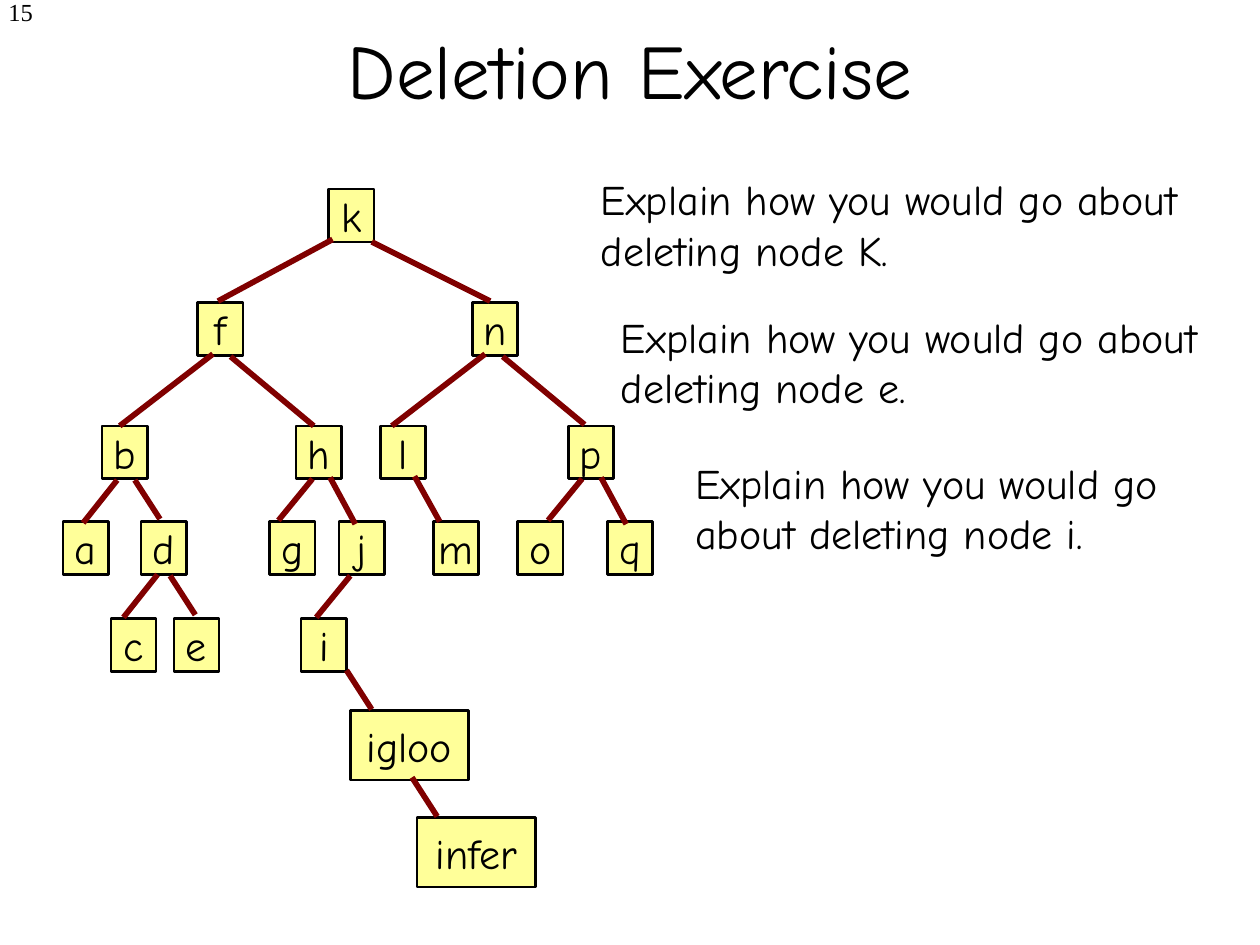
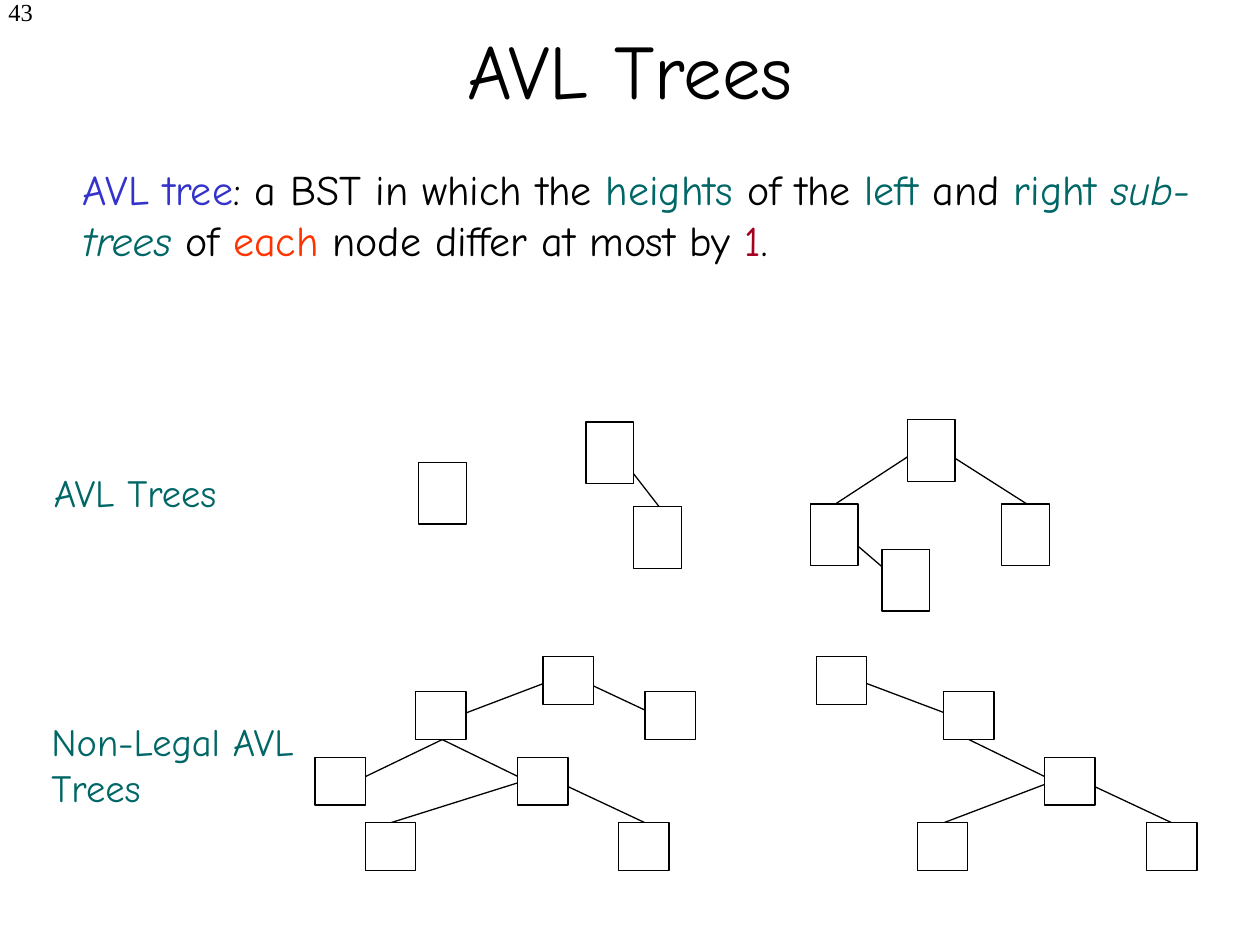
import pptx
import pptx.dml.color
import pptx.enum.shapes
import pptx.enum.text
import pptx.oxml
import pptx.util
from pptx.util import Inches

ALIGN = pptx.enum.text.PP_ALIGN
ANCHOR = pptx.enum.text.MSO_ANCHOR
FIT = pptx.enum.text.MSO_AUTO_SIZE

BLACK, WHITE, YELLOW, MAROON = "000000", "FFFFFF", "FFFF99", "800000"
TEAL, BLUE, ORANGE, CRIMSON = "006666", "3333CC", "FF3300", "A50021"

TITLE_FONT = {"name": "Comic Neue", "size": pptx.util.Pt(44)}
BODY_FONT = {"name": "Comic Neue", "size": pptx.util.Pt(24)}
LABEL_FONT = {"name": "Comic Neue", "size": pptx.util.Pt(22)}
NUMBER_FONT = {"name": "Times New Roman", "size": pptx.util.Pt(14)}

TITLE_FRAME = {"word_wrap": True, "vertical_anchor": ANCHOR.MIDDLE}
NUMBER_FRAME = {"word_wrap": True, "margin_left": 0}
NODE_FRAME = {"word_wrap": False, "vertical_anchor": ANCHOR.MIDDLE}
BODY_FRAME = {"word_wrap": True, "auto_size": FIT.SHAPE_TO_FIT_TEXT}

LETTER_SIZE = (0.36, 0.42)
WORD_SIZE = (0.94, 0.55)
LETTER_ROWS = [
    (1.5, {"k": 2.61}),
    (2.4, {"f": 1.57, "n": 3.75}),
    (3.38, {"b": 0.81, "h": 2.35, "l": 3.02, "p": 4.51}),
    (4.14, {"a": 0.5, "d": 1.12, "g": 2.14, "j": 2.69, "m": 3.44, "o": 4.11, "q": 4.82}),
    (4.91, {"c": 0.88, "e": 1.38, "i": 2.39}),
]
WORD_ROWS = [(5.64, {"igloo": 2.78}), (6.49, {"infer": 3.31})]
BRANCHES = [
    (2.64, 1.9, 1.73, 2.39), (2.95, 1.92, 3.89, 2.39),
    (1.69, 2.81, 0.95, 3.38), (1.83, 2.83, 2.49, 3.38),
    (3.85, 2.81, 3.11, 3.38), (3.99, 2.83, 4.64, 3.37),
    (0.93, 3.81, 0.66, 4.15), (1.07, 3.81, 1.27, 4.12),
    (2.48, 3.8, 2.21, 4.13), (2.62, 3.79, 2.82, 4.16),
    (3.29, 3.78, 3.49, 4.14),
    (4.62, 3.8, 4.35, 4.13), (4.77, 3.79, 4.97, 4.16),
    (1.25, 4.56, 0.98, 4.9), (1.35, 4.57, 1.55, 4.88),
    (2.78, 4.57, 2.51, 4.9),
    (2.75, 5.32, 2.95, 5.63), (3.27, 6.17, 3.47, 6.48),
]
QUESTIONS = [("K", 4.67, 1.33, 5.33), ("e", 4.83, 2.42, 5.17), ("i", 5.42, 3.58, 4.25)]

LEGAL_SIZE = (0.38, 0.49)
ILLEGAL_SIZE = (0.4, 0.38)
AVL_TREES = [
    (LEGAL_SIZE, [(3.32, 3.67)], []),
    (LEGAL_SIZE, [(4.65, 3.35), (5.03, 4.02)], [(4.85, 3.53, 5.23, 4.02)]),
    (LEGAL_SIZE,
     [(7.2, 3.33), (6.43, 4), (7.95, 4), (7, 4.36)],
     [(7.38, 3.51, 6.63, 4), (7.38, 3.51, 8.15, 4), (6.63, 4.18, 7.2, 4.67)]),
    (ILLEGAL_SIZE,
     [(4.31, 5.21), (3.3, 5.49), (5.12, 5.49), (2.5, 6.01), (4.11, 6.01),
      (2.9, 6.53), (4.91, 6.53)],
     [(4.51, 5.35, 3.51, 5.73), (4.51, 5.35, 5.32, 5.73),
      (3.51, 5.87, 2.7, 6.26), (3.51, 5.87, 4.31, 6.26),
      (4.31, 6.15, 3.1, 6.53), (4.31, 6.15, 5.12, 6.53)]),
    (ILLEGAL_SIZE,
     [(6.48, 5.21), (7.49, 5.49), (8.29, 6.01), (7.28, 6.53), (9.1, 6.53)],
     [(6.68, 5.35, 7.69, 5.73), (7.69, 5.87, 8.49, 6.26),
      (8.49, 6.15, 7.49, 6.53), (8.49, 6.15, 9.3, 6.53)]),
]
DEFINITION = [
    ("AVL tree", BLUE), (": a BST in which the ", BLACK), ("heights", TEAL),
    (" of the ", BLACK), ("left", TEAL), (" and ", BLACK), ("right ", TEAL),
    ("sub-trees", TEAL, True), (" of ", BLACK), ("each", ORANGE),
    (" node differ at most by ", BLACK), ("1", CRIMSON), (".", BLACK),
]


def color(hex_code):
    return pptx.dml.color.RGBColor.from_string(hex_code)


def apply_format(target, values):
    for name, value in values.items():
        setattr(target, name, value)


def write(box, spans, font, frame, align=ALIGN.LEFT):
    apply_format(box.text_frame, frame)
    para = box.text_frame.paragraphs[0]
    para.alignment = align
    for text, hex_code, *italic in spans:
        span = para.add_run()
        span.text = text
        apply_format(span.font, font)
        span.font.color.rgb = color(hex_code)
        if italic:
            span.font.italic = True


def add_text(page, area, spans, font, frame=BODY_FRAME, align=ALIGN.LEFT):
    box = page.shapes.add_textbox(*map(Inches, area))
    write(box, spans, font, frame, align)


def add_node(shapes, position, size, fill, weight):
    kind = pptx.enum.shapes.MSO_SHAPE.RECTANGLE
    node = shapes.add_shape(kind, *map(Inches, position + size))
    node.shadow.inherit = False
    node.fill.solid()
    node.fill.fore_color.rgb = color(fill)
    node.line.color.rgb = color(BLACK)
    node.line.width = pptx.util.Pt(weight)
    return node


def add_branch(shapes, ends, hex_code, weight):
    kind = pptx.enum.shapes.MSO_CONNECTOR.STRAIGHT
    branch = shapes.add_connector(kind, *map(Inches, ends))
    branch.line.color.rgb = color(hex_code)
    branch.line.width = pptx.util.Pt(weight)
    properties = branch._element.spPr
    properties.append(pptx.oxml.xmlchemy.OxmlElement("a:effectLst"))


def add_page(deck, number, title):
    page = deck.slides.add_slide(deck.slide_layouts[6])
    add_text(page, (0, -0.07, 0.36, 0.5), [(number, BLACK)], NUMBER_FONT, NUMBER_FRAME, ALIGN.RIGHT)
    add_text(page, (0.75, -0.08, 8.5, 1.25), [(title, BLACK)], TITLE_FONT, TITLE_FRAME, ALIGN.CENTER)
    return page


def add_named_nodes(page, rows, size):
    for top, nodes in rows:
        for name, left in nodes.items():
            node = add_node(page.shapes, (left, top), size, YELLOW, 1.5)
            write(node, [(name, BLACK)], BODY_FONT, NODE_FRAME, ALIGN.CENTER)


def add_empty_tree(page, size, positions, branches):
    shapes = page.shapes.add_group_shape().shapes if branches else page.shapes
    for ends in branches:
        add_branch(shapes, ends, BLACK, 0.75)
    for position in positions:
        add_node(shapes, position, size, WHITE, 0.75)


def build_deletion_page(deck):
    page = add_page(deck, "15", "Deletion Exercise")
    add_named_nodes(page, LETTER_ROWS, LETTER_SIZE)
    add_named_nodes(page, WORD_ROWS, WORD_SIZE)
    for ends in BRANCHES:
        add_branch(page.shapes, ends, MAROON, 3.25)
    for name, left, top, width in QUESTIONS:
        question = f"Explain how you would go about deleting node {name}."
        add_text(page, (left, top, width, 0.9), [(question, BLACK)], BODY_FONT)


def build_avl_page(deck):
    page = add_page(deck, "43", "AVL Trees")
    add_text(page, (0.56, 1.25, 9.06, 0.9), DEFINITION, BODY_FONT)
    for tree in AVL_TREES:
        add_empty_tree(page, *tree)
    add_text(page, (0.33, 3.67, 2.05, 0.47), [("AVL Trees", TEAL)], LABEL_FONT)
    add_text(page, (0.31, 5.65, 2.19, 0.83), [("Non-Legal AVL Trees", TEAL)], LABEL_FONT)


def main():
    deck = pptx.Presentation()
    deck.slide_width, deck.slide_height = Inches(10), Inches(7.5)
    build_deletion_page(deck)
    build_avl_page(deck)
    deck.save("out.pptx")


if __name__ == "__main__":
    main()
